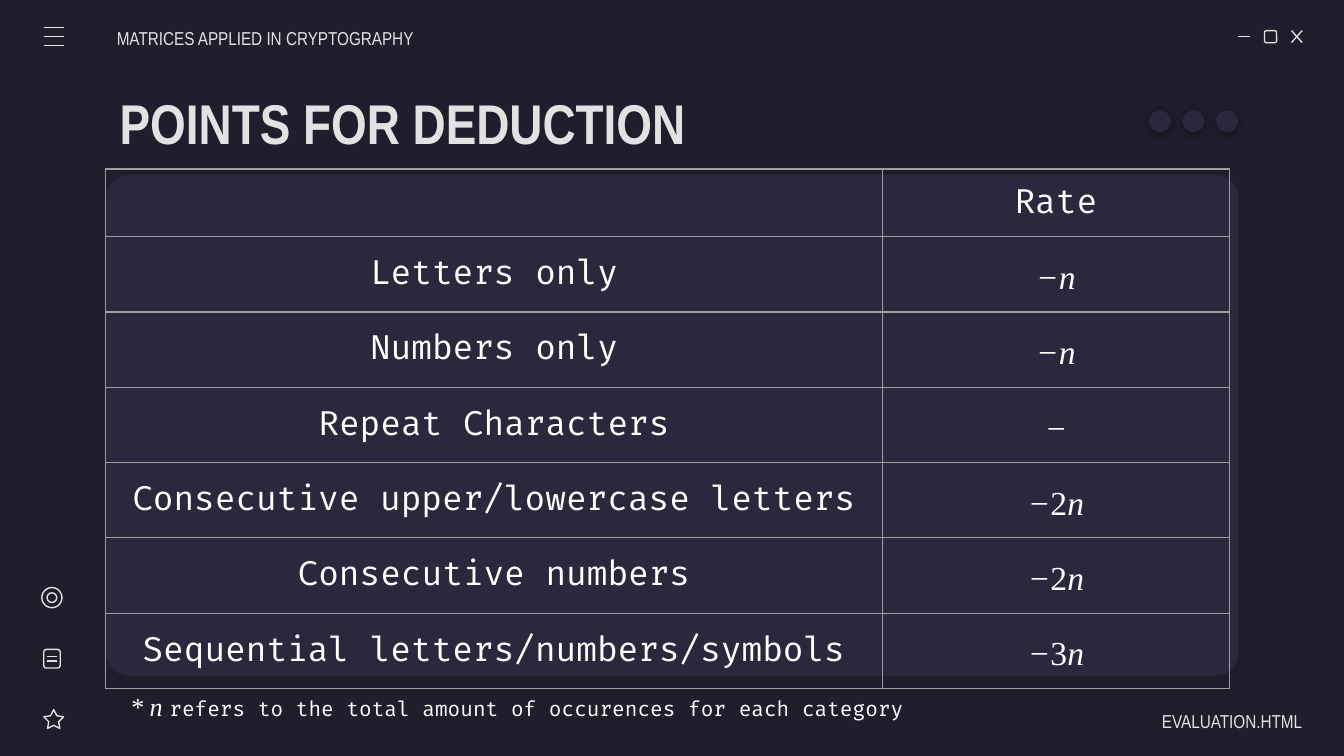
from lxml import etree
from pptx import Presentation
from pptx.dml.color import RGBColor
from pptx.enum.shapes import MSO_CONNECTOR, MSO_SHAPE as Preset
from pptx.enum.text import MSO_ANCHOR as Anchor, MSO_AUTO_SIZE as AutoSize, PP_ALIGN as Align
from pptx.oxml import parse_xml
from pptx.oxml.ns import nsdecls, qn
from pptx.util import Pt

COLORS = {"page": "1E1E2C", "panel": "29283D", "ink": "E2E2E2",
          "grid": "9E9E9E", "white": "FFFFFF"}
COLORS = {role: RGBColor.from_string(code) for role, code in COLORS.items()}
HEADING, BODY, MATH = "Arial Narrow", "Fira Code", "Times New Roman"
INSET = 7.2


def format_run(run, font, size, color, bold=False, italic=False):
    run.font.name, run.font.size = font, Pt(size)
    run.font.bold, run.font.italic = bold, italic
    run.font.color.rgb = COLORS[color]


def add_preset(preset, left, top, width, height, fill=None):
    shape = slide.shapes.add_shape(preset, Pt(left), Pt(top), Pt(width), Pt(height))
    shape.shadow.inherit = False
    if fill:
        shape.fill.solid()
        shape.fill.fore_color.rgb = COLORS[fill]
        shape.line.fill.background()
    else:
        shape.fill.background()
        shape.line.color.rgb = COLORS["ink"]
        shape.line.width = Pt(0.75)
    return shape


prs = Presentation()
prs.slide_width, prs.slide_height = Pt(720), Pt(405)
slide = prs.slides.add_slide(prs.slide_layouts[5])
slide.background.fill.solid()
slide.background.fill.fore_color.rgb = COLORS["page"]

# Panel behind the table
panel = add_preset(Preset.ROUNDED_RECTANGLE, 56.9, 93.6, 606.6, 268.6, "panel")
panel.adjustments[0] = 0.047

# Outlined icons: window button, star, document, target
for preset, left, top, width, height in [
    (Preset.ROUNDED_RECTANGLE, 677.4, 16.4, 6.5, 6.5),
    (Preset.STAR_5_POINT, 23.5, 380.2, 10.6, 10.1),
    (Preset.ROUNDED_RECTANGLE, 23.5, 347.9, 8.8, 10),
    (Preset.OVAL, 22.4, 314.8, 10.8, 10.8),
    (Preset.OVAL, 25.2, 317.6, 5.2, 5.2),
]:
    icon = add_preset(preset, left, top, width, height)
    if preset == Preset.STAR_5_POINT:
        icon.adjustments[0] = 0.254

# Strokes: window buttons, menu bars, document lines
strokes = [(663, 19.6, 669.6, 19.6), (691.9, 16.4, 697.6, 22.8), (697.6, 16.4, 691.9, 22.8)]
strokes += [(23.4, y, 34.2, y) for y in (14.8, 19.6, 24.4)]
strokes += [(25.2, y, 30.5, y) for y in (351.6, 354.2)]
for x1, y1, x2, y2 in strokes:
    stroke = slide.shapes.add_connector(MSO_CONNECTOR.STRAIGHT, Pt(x1), Pt(y1), Pt(x2), Pt(y2))
    stroke.line.color.rgb = COLORS["ink"]
    stroke.line.width = Pt(0.75)
    etree.SubElement(stroke._element.spPr, qn("a:effectLst"))

# Page header and footer
for label, left, top, width, align in [
    ("MATRICES APPLIED IN CRYPTOGRAPHY", 62.6, 8.9, 187.2, Align.LEFT),
    ("EVALUATION.HTML", 613.2, 374.7, 84.3, Align.RIGHT),
]:
    frame = slide.shapes.add_textbox(Pt(left), Pt(top), Pt(width), Pt(21.6)).text_frame
    frame.word_wrap = True
    frame.vertical_anchor = Anchor.MIDDLE
    frame.margin_left = Pt(0 if align == Align.LEFT else INSET)
    frame.margin_right = Pt(0 if align == Align.RIGHT else INSET)
    frame.margin_top = frame.margin_bottom = Pt(INSET)
    frame.text = label
    paragraph = frame.paragraphs[0]
    paragraph.alignment, paragraph.line_spacing = align, 1.15
    format_run(paragraph.runs[0], HEADING, 10, "ink")

# Title
title = slide.shapes.title
title.left, title.top, title.width, title.height = Pt(56.9), Pt(42.5), Pt(567.4), Pt(45.4)
heading = title.text_frame
heading.text = "POINTS FOR DEDUCTION"
heading.auto_size = AutoSize.NONE
heading.vertical_anchor = Anchor.MIDDLE
heading.margin_left = heading.margin_right = Pt(INSET)
heading.margin_top = heading.margin_bottom = Pt(INSET)
heading.paragraphs[0].alignment = Align.LEFT
format_run(heading.paragraphs[0].runs[0], HEADING, 30, "ink", bold=True)

# Three dots with a soft shadow
for index in range(3):
    dot = add_preset(Preset.OVAL, 615.6 + 18 * index, 59.2, 11.6, 11.6, "panel")
    dot._element.spPr.find(qn("a:effectLst")).append(parse_xml(
        f'<a:outerShdw {nsdecls("a")} blurRad="{Pt(4.5)}" dist="{Pt(1.5)}" dir="5400000"'
        ' algn="bl" rotWithShape="0"><a:srgbClr val="000000"><a:alpha val="30000"/>'
        '</a:srgbClr></a:outerShdw>'))

# Deduction table
deductions = [
    ("", "Rate"),
    ("Letters only", "−n"),
    ("Numbers only", "−n"),
    ("Repeat Characters", "−"),
    ("Consecutive upper/lowercase letters", "−2n"),
    ("Consecutive numbers", "−2n"),
    ("Sequential letters/numbers/symbols", "−3n"),
]
table = slide.shapes.add_table(len(deductions), 2, Pt(56.6), Pt(90.6), Pt(602), Pt(269.6)).table
table.first_row = table.horz_banding = False
table.columns[0].width, table.columns[1].width = Pt(416.2), Pt(185.8)
for row_index, entry in enumerate(deductions):
    table.rows[row_index].height = Pt(38.9 if row_index else 36.2)
    for column_index, content in enumerate(entry):
        cell = table.cell(row_index, column_index)
        for side in ("lnL", "lnR", "lnT", "lnB"):
            cell._tc.get_or_add_tcPr().append(parse_xml(
                f'<a:{side} {nsdecls("a")} w="{Pt(0.75)}"><a:solidFill>'
                f'<a:srgbClr val="{COLORS["grid"]}"/></a:solidFill></a:{side}>'))
        cell.fill.background()
        cell.vertical_anchor = Anchor.MIDDLE
        cell.margin_left = cell.margin_right = Pt(INSET)
        cell.margin_top = cell.margin_bottom = Pt(INSET)
        paragraph = cell.text_frame.paragraphs[0]
        paragraph.alignment = Align.CENTER
        is_rate = row_index > 0 and column_index == 1
        if is_rate:
            paragraph.line_spacing = 1.2
        # Rates set their digits upright and the other symbols in italics
        for part in (content if is_rate else filter(None, [content])):
            run = paragraph.add_run()
            run.text = part
            format_run(run, MATH if is_rate else BODY, 18, "white",
                       italic=is_rate and not part.isdigit())

# Footnote
footnote = slide.shapes.add_textbox(Pt(62.6), Pt(362.9), Pt(560.9), Pt(31.7)).text_frame
footnote.word_wrap = True
footnote.margin_left = footnote.margin_right = Pt(INSET)
footnote.margin_top = footnote.margin_bottom = Pt(INSET)
for wording, font, size in [
    ("* n ", MATH, 14),
    ("refers to the total amount of occurences for each category", BODY, 11),
]:
    run = footnote.paragraphs[0].add_run()
    run.text = wording
    format_run(run, font, size, "white", italic=font == MATH)

prs.save("out.pptx")
